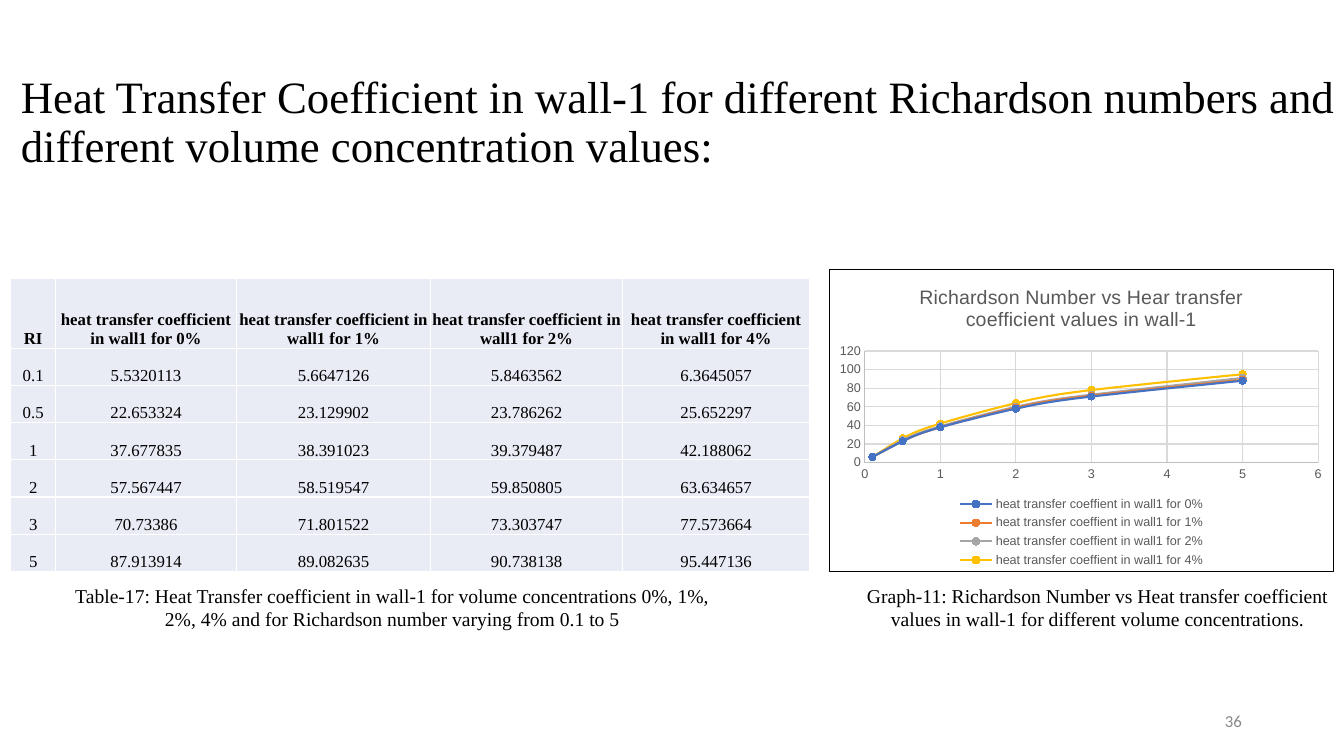
import pptx
import pptx.util
import pptx.chart.data
import pptx.dml.color
import pptx.enum.chart
import pptx.enum.text
import pptx.oxml

Pt = pptx.util.Pt
RGBColor = pptx.dml.color.RGBColor
ALIGN = pptx.enum.text.PP_ALIGN
ANCHOR = pptx.enum.text.MSO_ANCHOR
XL = pptx.enum.chart

BLACK = RGBColor(0x00, 0x00, 0x00)
WHITE = RGBColor(0xFF, 0xFF, 0xFF)
PAGE_GREY = RGBColor(0x88, 0x88, 0x88)
LABEL_GREY = RGBColor(0x59, 0x59, 0x59)
AXIS_GREY = RGBColor(0xBF, 0xBF, 0xBF)
GRID_GREY = RGBColor(0xD9, 0xD9, 0xD9)
CELL_FILL = RGBColor(0xE9, 0xEB, 0xF5)
SERIES_COLORS = [
    RGBColor(0x44, 0x72, 0xC4),
    RGBColor(0xED, 0x7D, 0x31),
    RGBColor(0xA5, 0xA5, 0xA5),
    RGBColor(0xFF, 0xC0, 0x00),
]
SERIF = "Times New Roman"

TITLE = ("Heat Transfer Coefficient in wall-1 for different Richardson numbers "
         "and different volume concentration values:")
TABLE_CAPTION = ("Table-17: Heat Transfer coefficient in wall-1 for volume concentrations "
                 "0%, 1%, 2%, 4% and for Richardson number varying from 0.1 to 5")
GRAPH_CAPTION = ("Graph-11: Richardson Number vs Heat transfer coefficient values "
                 "in wall-1 for different volume concentrations.")
CHART_TITLE = "Richardson Number vs Hear transfer coefficient values in wall-1"
PAGE = "36"
CONCENTRATIONS = ["0%", "1%", "2%", "4%"]
RESULTS = [
    (0.1, 5.5320113, 5.6647126, 5.8463562, 6.3645057),
    (0.5, 22.653324, 23.129902, 23.786262, 25.652297),
    (1, 37.677835, 38.391023, 39.379487, 42.188062),
    (2, 57.567447, 58.519547, 59.850805, 63.634657),
    (3, 70.73386, 71.801522, 73.303747, 77.573664),
    (5, 87.913914, 89.082635, 90.738138, 95.447136),
]
COL_WIDTHS = [32.4, 128.9, 139, 136.8, 133.9]
HEADER_HEIGHT, ROW_HEIGHT = 49.9, 26.6


def style(font, size, color, name, bold=False):
    font.size = Pt(size)
    font.name = name
    font.bold = bold
    font.color.rgb = color


def add_text(slide, box, text, size, align, anchor=ANCHOR.TOP, color=BLACK, name=SERIF):
    sp = slide.shapes.add_textbox(*map(Pt, box))
    tf = sp.text_frame
    tf.word_wrap = True
    tf.vertical_anchor = anchor
    tf.text = text
    p = tf.paragraphs[0]
    p.alignment = align
    style(p.runs[0].font, size, color, name)
    return tf


def fill_cell(cell, text, bold):
    cell.fill.solid()
    cell.fill.fore_color.rgb = CELL_FILL
    cell.vertical_anchor = ANCHOR.BOTTOM
    cell.margin_left = cell.margin_right = cell.margin_top = Pt(0.7)
    cell.margin_bottom = 0
    cell.text = text
    p = cell.text_frame.paragraphs[0]
    p.alignment = ALIGN.CENTER
    style(p.runs[0].font, 12, BLACK, SERIF, bold)
    tcPr = cell._tc.get_or_add_tcPr()
    for i, side in enumerate(("lnL", "lnR", "lnT", "lnB")):
        tcPr.insert(i, pptx.oxml.parse_xml(
            f'<a:{side} xmlns:a="http://schemas.openxmlformats.org/drawingml/2006/main" '
            f'w="12700"><a:solidFill><a:srgbClr val="{WHITE}"/></a:solidFill></a:{side}>'))


def add_results_table(slide):
    header = ["RI"] + [f"heat transfer coefficient in wall1 for {c}" for c in CONCENTRATIONS]
    rows = [header] + [[str(v) for v in row] for row in RESULTS]
    heights = [HEADER_HEIGHT] + [ROW_HEIGHT] * len(RESULTS)
    table = slide.shapes.add_table(
        len(rows), len(header), Pt(7.5), Pt(198.8),
        Pt(sum(COL_WIDTHS)), Pt(sum(heights))).table
    for column, width in zip(table.columns, COL_WIDTHS):
        column.width = Pt(width)
    for r, (row, height) in enumerate(zip(rows, heights)):
        table.rows[r].height = Pt(height)
        for c, text in enumerate(row):
            fill_cell(table.cell(r, c), text, r == 0)


def add_results_chart(slide):
    data = pptx.chart.data.XyChartData()
    for i, c in enumerate(CONCENTRATIONS, 1):
        series = data.add_series(f"heat transfer coeffient in wall1 for {c}")
        for row in RESULTS:
            series.add_data_point(row[0], round(row[i]))
    chart = slide.shapes.add_chart(
        XL.XL_CHART_TYPE.XY_SCATTER_SMOOTH, Pt(592.2), Pt(192.2), Pt(360.5), Pt(216.3), data).chart
    style(chart.font, 10, BLACK, "Arial")
    chart.has_title = True
    tf = chart.chart_title.text_frame
    tf.text = CHART_TITLE
    style(tf.paragraphs[0].runs[0].font, 14, LABEL_GREY, "Arial")
    chart.chart_title.include_in_layout = False
    chart.has_legend = True
    chart.legend.position = XL.XL_LEGEND_POSITION.BOTTOM
    chart.legend.include_in_layout = False
    style(chart.legend.font, 9, LABEL_GREY, "Arial")

    for axis, top, step in ((chart.category_axis, 6, 1), (chart.value_axis, 120, 20)):
        axis.minimum_scale, axis.maximum_scale, axis.major_unit = 0, top, step
        axis.major_tick_mark = axis.minor_tick_mark = XL.XL_TICK_MARK.NONE
        axis.has_major_gridlines = True
        style(axis.tick_labels.font, 9, LABEL_GREY, "Arial")
        axis.tick_labels.number_format = "General"
        axis.tick_labels.number_format_is_linked = False
        for line, color in ((axis.format.line, AXIS_GREY),
                            (axis.major_gridlines.format.line, GRID_GREY)):
            line.color.rgb = color
            line.width = Pt(0.75)

    chart.plots[0].vary_by_categories = False
    for series, color in zip(chart.plots[0].series, SERIES_COLORS):
        series._element.get_or_add_smooth().val = True
        series.format.line.color.rgb = color
        series.format.line.width = Pt(1.5)
        marker = series.marker
        marker.style = XL.XL_MARKER_STYLE.CIRCLE
        marker.size = 5
        marker.format.fill.solid()
        marker.format.fill.fore_color.rgb = color
        marker.format.line.color.rgb = color

    ns = 'xmlns:c="http://schemas.openxmlformats.org/drawingml/2006/chart"'
    plot_area = chart._chartSpace.chart.plotArea
    for old in plot_area.xpath("c:layout"):
        plot_area.remove(old)
    sizes = "".join(f'<c:{k} val="{v}"/>' for k, v in
                    (("x", 0.07), ("y", 0.27), ("w", 0.9), ("h", 0.37)))
    plot_area.insert(0, pptx.oxml.parse_xml(
        f'<c:layout {ns}><c:manualLayout><c:layoutTarget val="inner"/>'
        f'<c:xMode val="edge"/><c:yMode val="edge"/>{sizes}</c:manualLayout></c:layout>'))
    chart._chartSpace.chart.addnext(pptx.oxml.parse_xml(
        f'<c:spPr {ns} xmlns:a="http://schemas.openxmlformats.org/drawingml/2006/main">'
        f'<a:solidFill><a:srgbClr val="{WHITE}"/></a:solidFill><a:ln w="9525">'
        f'<a:solidFill><a:srgbClr val="{BLACK}"/></a:solidFill></a:ln></c:spPr>'))


def main():
    prs = pptx.Presentation()
    prs.slide_width, prs.slide_height = Pt(960), Pt(540)
    slide = prs.slides.add_slide(prs.slide_layouts[6])
    title = add_text(slide, (7.8, 50, 961.2, 91.4), TITLE, 32, ALIGN.LEFT)
    title.paragraphs[0].line_spacing = 0.9
    add_text(slide, (678.2, 500.4, 216, 28.8), PAGE, 12, ALIGN.RIGHT,
             ANCHOR.MIDDLE, PAGE_GREY, "Calibri")
    add_results_table(slide)
    add_text(slide, (40.3, 413.3, 480.2, 41), TABLE_CAPTION, 14, ALIGN.CENTER)
    add_text(slide, (599.8, 413.3, 368.6, 41), GRAPH_CAPTION, 14, ALIGN.CENTER)
    add_results_chart(slide)
    prs.save("out.pptx")


if __name__ == "__main__":
    main()
